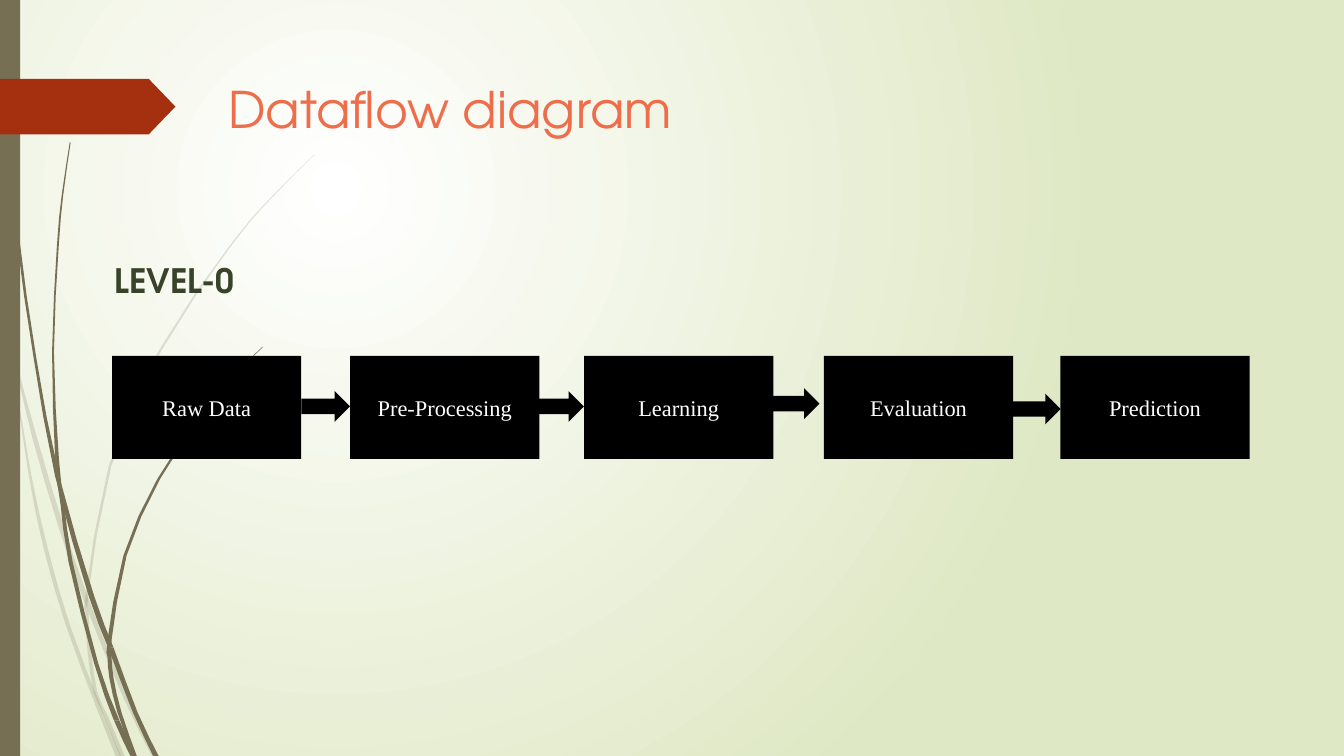
from itertools import pairwise

from lxml import etree
from pptx import Presentation
from pptx.dml.color import RGBColor
from pptx.enum import shapes, text
from pptx.oxml import ns
from pptx.util import Pt

WHITE = RGBColor(0xFF, 0xFF, 0xFF)
BLACK = RGBColor(0x00, 0x00, 0x00)
PALE_GREEN = RGBColor(0xDF, 0xE8, 0xC4)
TAUPE = RGBColor(0x76, 0x6F, 0x54)
RUST = RGBColor(0xA5, 0x30, 0x10)
CORAL = RGBColor(0xEE, 0x6E, 0x4B)
DARK_GREEN = RGBColor(0x39, 0x43, 0x2A)
HEADING_FONT = "TeX Gyre Adventor"
STAGE_FONT = "Times New Roman"
WIDTH, HEIGHT = 720, 405
CURVE_STEPS = 2

# Each blade of grass: (x, y, thickness) along its middle, and the knots that joint it.
FAINT_BLADES = [
    ([(0.8, 156, 1.5), (7, 188, 0.8), (18.4, 234, 2.5), (32.4, 281, 2.9),
      (46.4, 322, 2.9), (67.3, 374, 2.2), (82.4, 405, 2.2)], [1, 4]),
    ([(5.8, 189, 0), (15.8, 253, 1.4), (24.8, 295, 2.2), (36.4, 335, 2.2),
      (52.5, 378, 2.5), (63.4, 405, 2.9)], [4]),
    ([(168.5, 82.8, 0.3), (144.7, 106.6, 0.7), (123.1, 132.1, 0.9),
      (85.7, 188, 1.4), (59, 249.5, 1.4), (46.8, 317, 1.4), (46.6, 329, 1.8),
      (47.9, 348.5, 2), (51.1, 370.8, 2), (57, 384, 2), (65.5, 405, 2.5)],
     [5, 6, 8, 9]),
]
DARK_BLADES = [
    ([(1.8, 0, 0.7), (4, 59, 0.7), (9.4, 125.6, 1.4), (18.7, 191.5, 1.4),
      (30.6, 255, 2.2), (49, 319.3, 2.9), (59.4, 347, 2.9),
      (72.4, 381.6, 2.5), (83.5, 405, 2.9)], [4, 6]),
    ([(37.6, 76.3, 0.5), (33.5, 104.4, 0.8), (31, 131.8, 1), (28.4, 188.6, 1),
      (30.6, 246, 2), (33.4, 270, 2), (37.8, 301, 2.2), (51.5, 355.3, 2.2),
      (62.5, 386, 2.9), (71.3, 405, 2.9)], [4, 5, 8]),
    ([(140.8, 185.8, 0.3), (124.6, 202, 0.8), (110.2, 219.2, 1.1),
      (85, 256.7, 1.5), (67, 297.7, 1.7), (58.7, 343, 2.2), (58.7, 352, 2.2),
      (59.8, 363.6, 2.2), (64.1, 382, 2.2), (72.4, 405, 1.8)], [5, 6, 8]),
]

# Stage name, left offset in the row
STAGES = [("Raw Data", 0), ("Pre-Processing", 127.6), ("Learning", 252.9),
          ("Evaluation", 381.4), ("Prediction", 508.1)]
# Left and top offset in the row
ARROWS = [(101.5, 18.8), (226.8, 18.8), (353, 17.3), (482.2, 20.2)]
STAGE_WIDTH = 101.4
ARROW_WIDTH, ARROW_HEIGHT = 26, 16.5


def paint(shape, color):
    shape.shadow.inherit = False
    shape.fill.solid()
    shape.fill.fore_color.rgb = color
    shape.line.fill.background()


def add_block(slide, kind, left, top, width, height, color):
    block = slide.shapes.add_shape(kind, Pt(left), Pt(top), Pt(width), Pt(height))
    paint(block, color)
    return block


def style(paragraph, font, size, color, bold=False):
    paragraph.font.name = font
    paragraph.font.size = Pt(size)
    paragraph.font.color.rgb = color
    paragraph.font.bold = bold


def smooth(knots):
    """Return points on a Catmull-Rom curve through the knots."""
    padded = [knots[0], *knots, knots[-1]]
    curve = []
    for a, b, c, d in zip(padded, padded[1:], padded[2:], padded[3:]):
        for step in range(CURVE_STEPS):
            t = step / CURVE_STEPS
            curve.append([
                q + t * (r - p) / 2 + t * t * (p - 2.5 * q + 2 * r - s / 2)
                + t ** 3 * (1.5 * (q - r) + (s - p) / 2)
                for p, q, r, s in zip(a, b, c, d)])
    return curve + [knots[-1]]


def add_blade_piece(slide, curve, left, top, opacity):
    near = [(x - w / 2, y) for x, y, w in curve]
    far = [(x + w / 2, y) for x, y, w in reversed(curve)]
    outline = [(Pt(left + x), Pt(top + y)) for x, y in near + far]
    builder = slide.shapes.build_freeform(*outline[0])
    builder.add_line_segments(outline[1:], close=True)
    piece = builder.convert_to_shape()
    paint(piece, TAUPE)
    if opacity < 100:
        color = piece.element.spPr.find(".//" + ns.qn("a:srgbClr"))
        etree.SubElement(color, ns.qn("a:alpha"), val=str(opacity * 1000))


def set_glow_background(slide):
    fill = slide.background.fill
    fill.gradient()
    for stop, position, color in zip(fill.gradient_stops, (0, 1), (WHITE, PALE_GREEN)):
        stop.position = position
        stop.color.rgb = color
    linear = slide.element.find(".//" + ns.qn("a:lin"))
    circle = etree.Element(ns.qn("a:path"), path="circle")
    etree.SubElement(circle, ns.qn("a:fillToRect"),
                     l="50000", t="50000", r="100000", b="100000")
    linear.getparent().replace(linear, circle)


def add_side_decoration(slide, left, top, height):
    for blades, opacity in ((FAINT_BLADES, 20), (DARK_BLADES, 100)):
        for knots, joints in blades:
            curve = smooth(knots)
            for first, last in pairwise([0, *joints, len(knots) - 1]):
                piece = curve[first * CURVE_STEPS:last * CURVE_STEPS + 1]
                add_blade_piece(slide, piece, left, top, opacity)
    add_block(slide, shapes.MSO_SHAPE.RECTANGLE, left, top, 10.8, height, TAUPE)
    tag = add_block(slide, shapes.MSO_SHAPE.PENTAGON, left, top + 42.3, 94, 29.7, RUST)
    tag.adjustments[0] = 0.48


def place_title(slide, left, top, width, height):
    title = slide.shapes.title
    title.left, title.top, title.width, title.height = map(Pt, (left, top, width, height))
    frame = title.text_frame
    frame.text = "Dataflow diagram"
    frame.auto_size = text.MSO_AUTO_SIZE.NONE
    frame.vertical_anchor = text.MSO_ANCHOR.TOP
    heading = frame.paragraphs[0]
    heading.alignment = text.PP_ALIGN.LEFT
    style(heading, HEADING_FONT, 27, CORAL)


def add_level_label(slide, left, top, width, height):
    label = slide.shapes.add_textbox(Pt(left), Pt(top), Pt(width), Pt(height))
    label.text_frame.text = "LEVEL-0"
    label.text_frame.word_wrap = False
    style(label.text_frame.paragraphs[0], HEADING_FONT, 18, DARK_GREEN, bold=True)


def add_pipeline(slide, left, top, height):
    for name, offset in STAGES:
        stage = add_block(slide, shapes.MSO_SHAPE.RECTANGLE, left + offset, top,
                          STAGE_WIDTH, height, BLACK)
        frame = stage.text_frame
        frame.text = name
        frame.vertical_anchor = text.MSO_ANCHOR.MIDDLE
        frame.paragraphs[0].alignment = text.PP_ALIGN.CENTER
        style(frame.paragraphs[0], STAGE_FONT, 12, WHITE)
    for across, down in ARROWS:
        add_block(slide, shapes.MSO_SHAPE.RIGHT_ARROW, left + across, top + down,
                  ARROW_WIDTH, ARROW_HEIGHT, BLACK)


def main():
    deck = Presentation()
    deck.slide_width, deck.slide_height = Pt(WIDTH), Pt(HEIGHT)
    slide = deck.slides.add_slide(deck.slide_layouts[5])
    set_glow_background(slide)
    add_side_decoration(slide, 0, 0, HEIGHT)
    place_title(slide, 115.2, 38.2, 554.4, 72)
    add_pipeline(slide, 60, 190.7, 55.2)
    add_level_label(slide, 54.4, 135.7, 80, 28.8)
    deck.save("out.pptx")


if __name__ == "__main__":
    main()
